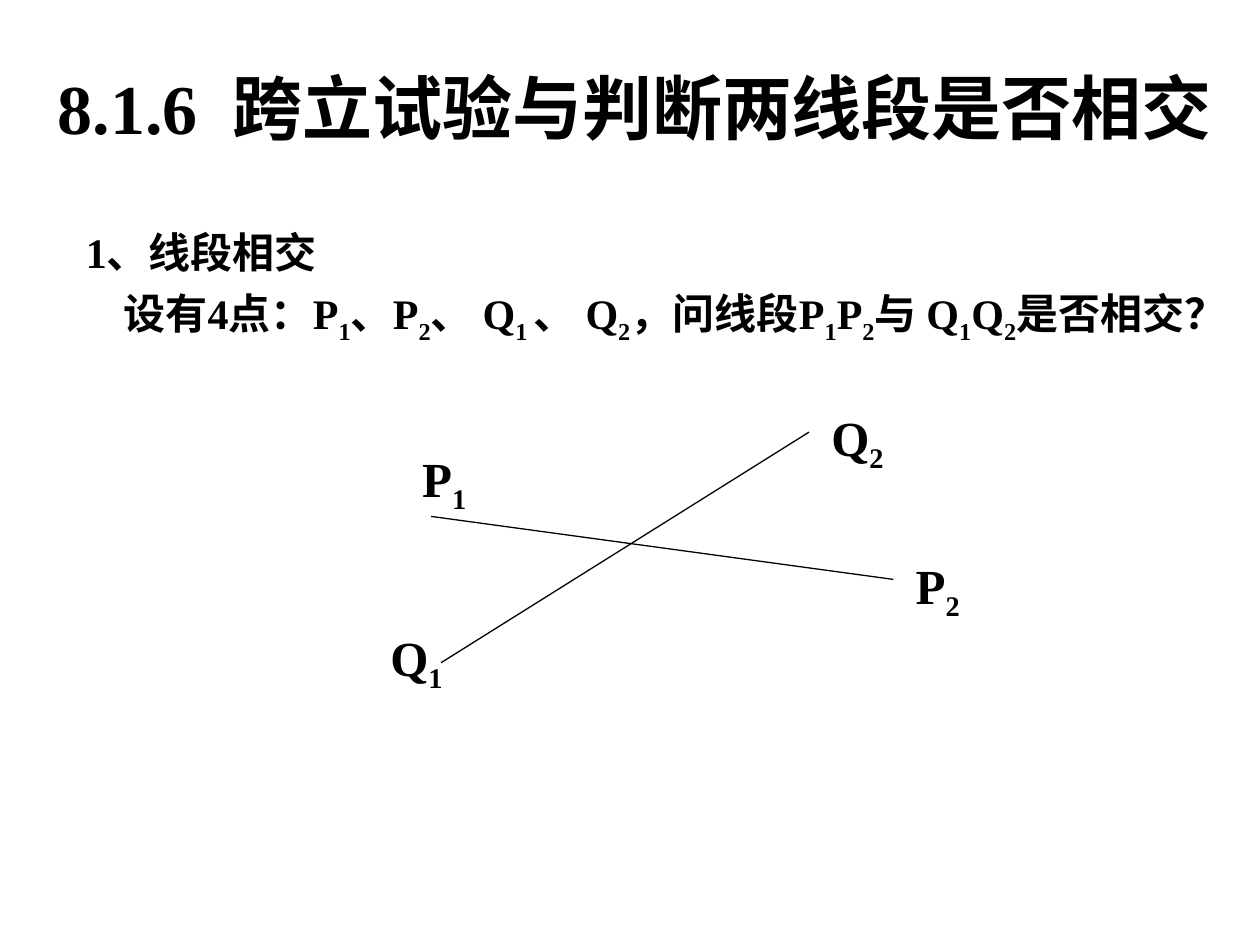
from lxml import etree
from pptx import Presentation
from pptx.dml.color import RGBColor
from pptx.enum import shapes, text
from pptx.oxml.ns import qn
from pptx.util import Cm, Pt

INK = "000000"
FONT = "Times New Roman"
LABEL_SIZE = (1.7, 1.6)
SEGMENTS = [
    {"P|1": (1.07, 2.33), "P|2": (10.39, 3.6)},
    {"Q|1": (1.27, 5.28), "Q|2": (8.69, 0.63)},
]
LABELS = {
    "P|1": (0.64, 0.84),
    "P|2": (10.59, 2.99),
    "Q|1": (0, 4.44),
    "Q|2": (8.89, 0),
}


def color(value):
    return RGBColor.from_string(value)


def set_all(target, values):
    for name, value in values.items():
        setattr(target, name, value)


def write(paragraph, marked, size):
    """Add runs from text in which every second part between bars is a subscript."""
    for index, part in enumerate(marked.split("|")):
        run = paragraph.add_run()
        run.text = part
        set_all(run.font, {"name": FONT, "size": Pt(size), "bold": True})
        run.font.color.rgb = color(INK)
        if index % 2:
            run.font._element.set("baseline", "-25000")


def add_text_box(parent, box, size, lines, align):
    """Add a text box; lines are pairs of marked text and left indent in cm."""
    frame = parent.shapes.add_textbox(*map(Cm, box)).text_frame
    set_all(frame, {"word_wrap": True, "vertical_anchor": text.MSO_ANCHOR.TOP})
    for index, (marked, indent) in enumerate(lines):
        paragraph = frame.add_paragraph() if index else frame.paragraphs[0]
        paragraph._p.get_or_add_pPr().set("marL", str(Cm(indent)))
        paragraph.alignment = align
        if index:
            paragraph.space_before = Pt(6)
        write(paragraph, marked, size)


def add_title(slide, box):
    lines = [("8.1.6  跨立试验与判断两线段是否相交", 0)]
    add_text_box(slide, box, 40, lines, text.PP_ALIGN.CENTER)


def add_question(slide, box):
    lines = [
        ("1、线段相交", 0.21),
        ("设有4点：P|1|、P|2|、 Q|1 |、 Q|2|，问线段P|1|P|2|与 Q|1|Q|2|是否相交？", 0.97),
    ]
    add_text_box(slide, box, 24, lines, text.PP_ALIGN.JUSTIFY)


def add_crossing_segments(slide, left, top):
    group = slide.shapes.add_group_shape()
    for segment in SEGMENTS:
        ends = [Cm(origin + offset) for point in segment.values()
                for origin, offset in zip((left, top), point)]
        line = group.shapes.add_connector(shapes.MSO_CONNECTOR.STRAIGHT, *ends)
        line.line.width = Pt(0.75)
        line.line.color.rgb = color(INK)
        etree.SubElement(line._element.spPr, qn("a:effectLst"))
    for label, (x, y) in LABELS.items():
        add_text_box(group, (left + x, top + y, *LABEL_SIZE), 28,
                     [(label, 0)], text.PP_ALIGN.LEFT)


def main():
    presentation = Presentation()
    set_all(presentation, {"slide_width": Cm(25.4), "slide_height": Cm(19.05)})
    slide = presentation.slides.add_slide(presentation.slide_layouts[6])
    add_title(slide, (0.69, 1.17, 24.21, 2.36))
    add_question(slide, (1.27, 4.45, 22.86, 12.57))
    add_crossing_segments(slide, 7.62, 8.08)
    presentation.save("out.pptx")


if __name__ == "__main__":
    main()
